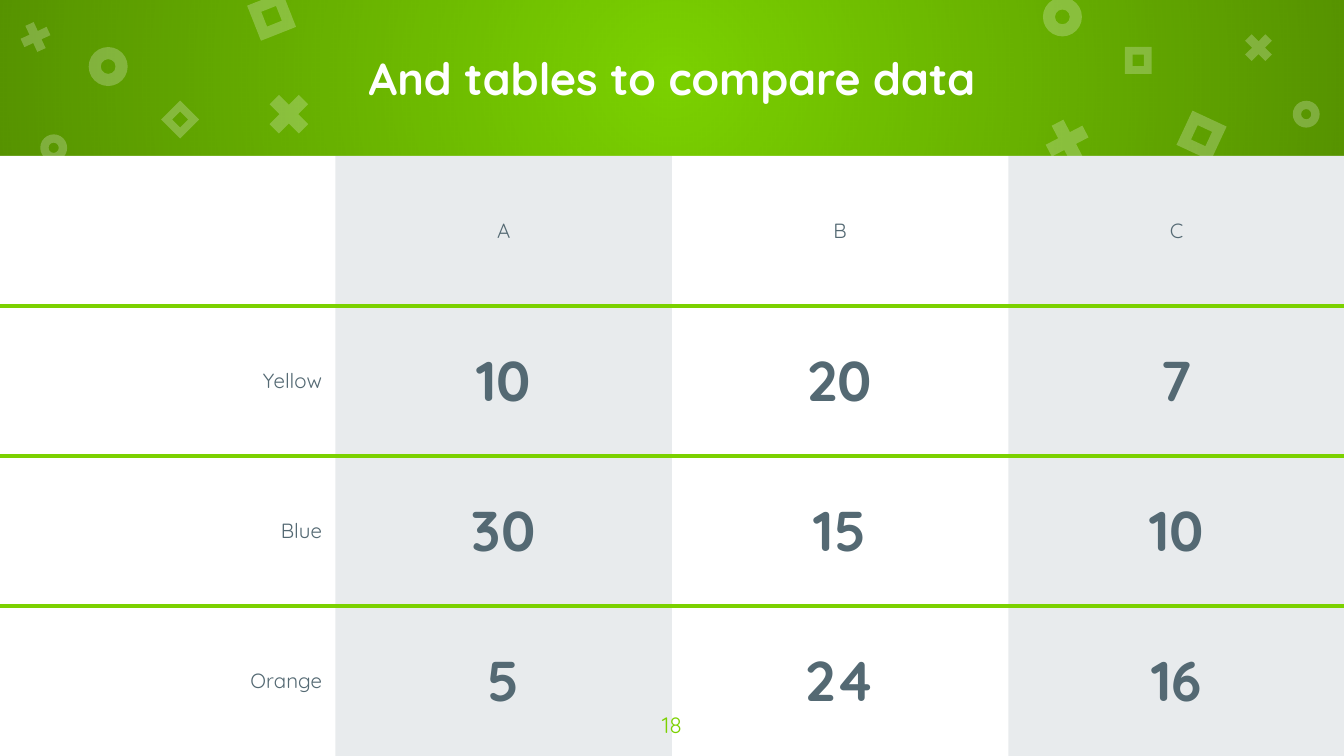
from dataclasses import dataclass

from lxml import etree
from pptx import Presentation
from pptx.dml.color import RGBColor
from pptx.enum import shapes, text
from pptx.oxml.ns import qn
from pptx.util import Pt


@dataclass(frozen=True)
class Theme:
    font: str = "Quicksand"
    green: str = "7BD100"
    white: str = "FFFFFF"
    shade: str = "000000"
    column: str = "667F8C"
    ink: str = "546973"
    title: float = 24
    value: float = 30
    label: float = 11
    number: float = 12
    rule: float = 2.25


T = Theme()
ALIGN = text.PP_ALIGN
MIDDLE = text.MSO_ANCHOR.MIDDLE
SHAPE = shapes.MSO_SHAPE
DONUT, CROSS, FRAME = SHAPE.DONUT, SHAPE.MATH_MULTIPLY, SHAPE.FRAME
ADJUST = {DONUT: 0.31, CROSS: 0.235, FRAME: 0.289}
MARKS = [
    (DONUT, 47.5, 25.2, 20.9, 0),
    (CROSS, 139.7, 46.1, 30.2, 0),
    (FRAME, 135.4, -1.4, 20.2, 338.4),
    (DONUT, 558.7, -1.4, 20.9, 0),
    (CROSS, 556.6, 60.5, 30.2, 17.5),
    (FRAME, 633.6, 62.6, 20.2, 25),
    (DONUT, 21.6, 72, 14.4, 0),
    (CROSS, 8.6, 9.4, 20.9, 20.4),
    (FRAME, 89.3, 56.9, 14.4, 45),
    (DONUT, 692.6, 54, 14.4, 0),
    (CROSS, 663.8, 15.1, 20.9, 0),
    (FRAME, 602.6, 25.2, 14.4, 0),
]
ROWS = [
    ["", "A", "B", "C"],
    ["Yellow", "10", "20", "7"],
    ["Blue", "30", "15", "10"],
    ["Orange", "5", "24", "16"],
]


def rgb(value):
    return RGBColor.from_string(value)


def set_alpha(color, percent):
    etree.SubElement(color, qn("a:alpha"), val=str(percent * 1000))


def solid(fill, parent, color, alpha=100):
    fill.solid()
    fill.fore_color.rgb = rgb(color)
    if alpha < 100:
        set_alpha(parent.find(qn("a:solidFill"))[0], alpha)


def write(tf, content, size=T.label, color=T.ink, bold=False, align=ALIGN.CENTER):
    p = tf.paragraphs[0]
    p.alignment = align
    r = p.add_run()
    r.text = content
    r.font.name = T.font
    r.font.size = Pt(size)
    r.font.bold = bold
    r.font.color.rgb = rgb(color)


def add_text(s, box, content, anchor=text.MSO_ANCHOR.TOP, **style):
    tf = s.shapes.add_textbox(*map(Pt, box)).text_frame
    tf.word_wrap = True
    tf.vertical_anchor = anchor
    tf.margin_left = tf.margin_right = tf.margin_top = tf.margin_bottom = Pt(7.2)
    write(tf, content, **style)


def add_plain(s, kind, box):
    sp = s.shapes.add_shape(kind, *map(Pt, box))
    sp.shadow.inherit = False
    sp.line.fill.background()
    return sp


def add_glow(s, box):
    sp = add_plain(s, SHAPE.RECTANGLE, box)
    sp.fill.gradient()
    for stop in sp.fill.gradient_stops:
        stop.color.rgb = rgb(T.shade)
    grad = sp._element.spPr.find(qn("a:gradFill"))
    for color, alpha in zip(grad.iter(qn("a:srgbClr")), (0, 30)):
        set_alpha(color, alpha)
    grad.remove(grad.find(qn("a:lin")))
    shade = etree.SubElement(grad, qn("a:path"))
    shade.set("path", "circle")
    etree.SubElement(shade, qn("a:fillToRect"), l="50000", t="50000", r="50000", b="50000")


def header(s, box):
    x, y, w, h = box
    add_glow(s, box)
    for kind, dx, dy, size, turn in MARKS:
        sp = add_plain(s, kind, (x + dx, y + dy, size, size))
        sp.adjustments[0] = ADJUST[kind]
        sp.rotation = turn
        solid(sp.fill, sp._element.spPr, T.white, 24)
    add_text(s, (x + 36, y, w - 72, h), "And tables to compare data", anchor=MIDDLE,
             size=T.title, color=T.white, bold=True)


def add_border(cell, side):
    ln = etree.Element(qn(f"a:{side}"), w=str(Pt(T.rule)))
    fill = etree.SubElement(ln, qn("a:solidFill"))
    etree.SubElement(fill, qn("a:srgbClr"), val=T.green)
    cell._tc.get_or_add_tcPr().insert(0, ln)


def comparison(s, box):
    w, h = box[2:]
    rows, cols = len(ROWS), len(ROWS[0])
    table = s.shapes.add_table(rows, cols, *map(Pt, box)).table
    table.first_row = table.horz_banding = False
    no_grid = "{2D5ABB26-0587-4C30-8999-92F81FD0307C}"
    table._tbl.tblPr.find(qn("a:tableStyleId")).text = no_grid
    for col in table.columns:
        col.width = Pt(w / cols)
    for i, row in enumerate(ROWS):
        table.rows[i].height = Pt(h / rows)
        for j, content in enumerate(row):
            cell = table.cell(i, j)
            cell.vertical_anchor = MIDDLE
            cell.margin_left = cell.margin_right = Pt(7.2)
            cell.margin_top = cell.margin_bottom = Pt(5)
            if j % 2:
                solid(cell.fill, cell._tc.tcPr, T.column, 15)
            else:
                cell.fill.background()
            if i < rows - 1:
                add_border(cell, "lnB")
            if i > 0:
                add_border(cell, "lnT")
            is_value = i > 0 and j > 0
            if content:
                write(cell.text_frame, content, bold=is_value,
                      size=T.value if is_value else T.label,
                      align=ALIGN.CENTER if j else ALIGN.RIGHT)


def body(s, box):
    x, y, w, h = box
    panel = add_plain(s, SHAPE.RECTANGLE, box)
    solid(panel.fill, panel._element.spPr, T.white)
    comparison(s, (x - 0.5, y, w + 1, h))
    add_text(s, (x + w / 2 - 21.6, y + h - 31, 43.2, 31), "18",
             size=T.number, color=T.green)


def main():
    prs = Presentation()
    prs.slide_width, prs.slide_height = Pt(720), Pt(405)
    s = prs.slides.add_slide(prs.slide_layouts[6])
    s.background.fill.solid()
    s.background.fill.fore_color.rgb = rgb(T.green)
    band = 83.5
    header(s, (0, 0, 720, band))
    body(s, (0, band, 720, 405 - band))
    prs.save("out.pptx")


if __name__ == "__main__":
    main()
